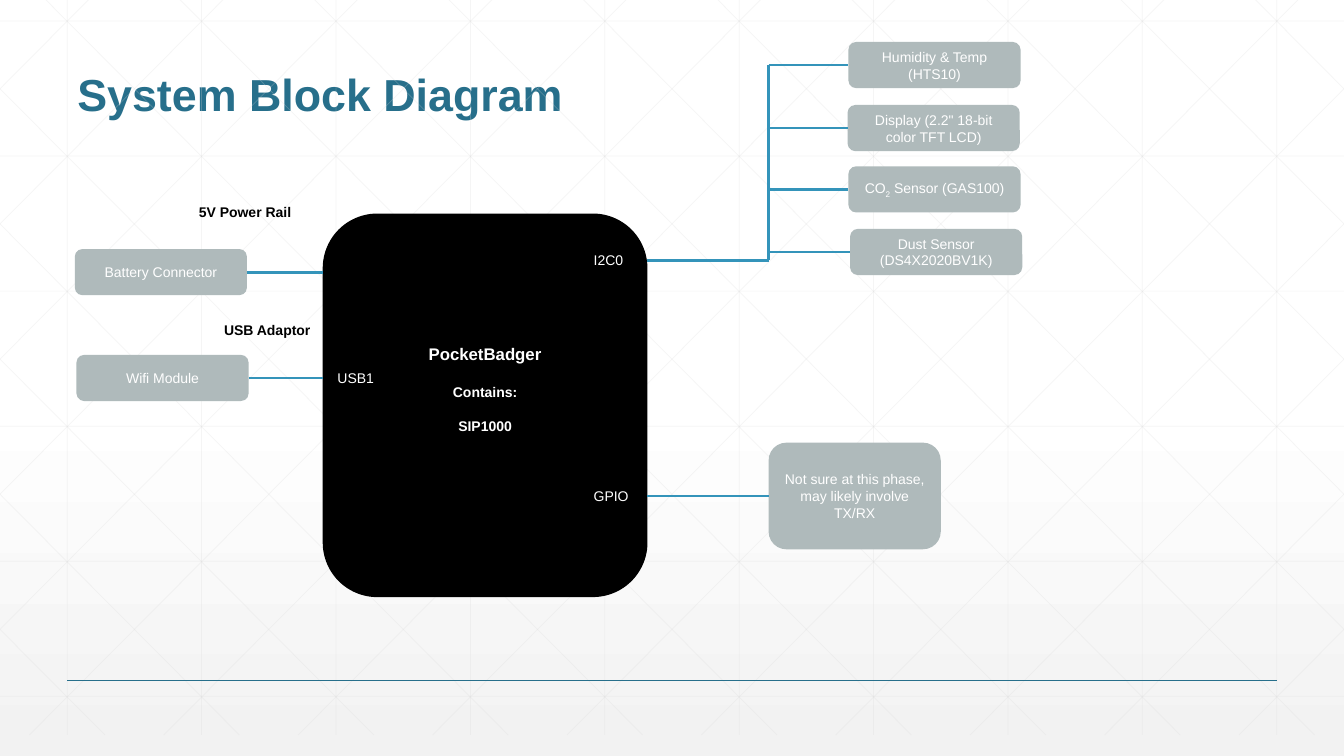
"""Builds the system block diagram slide on a grid of 160 columns by 90 rows."""
from dataclasses import dataclass

from lxml import etree
from pptx import Presentation
from pptx.dml.color import RGBColor
from pptx.enum.shapes import MSO_CONNECTOR, MSO_SHAPE
from pptx.enum.text import MSO_ANCHOR, MSO_AUTO_SIZE, PP_ALIGN
from pptx.oxml.ns import qn
from pptx.util import Inches, Pt

LINE = MSO_CONNECTOR.STRAIGHT
ROUND = MSO_SHAPE.ROUNDED_RECTANGLE
MIDDLE, BOTTOM = MSO_ANCHOR.MIDDLE, MSO_ANCHOR.BOTTOM
LEFT, CENTER = PP_ALIGN.LEFT, PP_ALIGN.CENTER
FIXED = MSO_AUTO_SIZE.NONE
LEFT_SIDE, RIGHT_SIDE = 1, 3

COLS, ROWS = 160, 90
WIDTH, HEIGHT = Inches(13.333), Inches(7.5)
BLOCK = (20.5, 5.5)


@dataclass(frozen=True)
class Theme:
    font: str = "Arial"
    title: str = "276F8B"
    wire: str = "3494BA"
    block: str = "AFBABB"
    dark: str = "000000"
    light: str = "FFFFFF"
    shade: str = "F2F2F2"
    mesh: str = "D9D9D9"
    head: int = 32
    name: int = 12
    text: int = 10


THEME = Theme()


def rgb(code):
    return RGBColor.from_string(code)


def spot(col, row):
    return round(WIDTH * col / COLS), round(HEIGHT * row / ROWS)


def style(font, color, size=THEME.text, bold=False):
    font.name, font.size, font.bold = THEME.font, Pt(size), bold
    font.color.rgb = rgb(color)


def add_line(shapes, start, end, color=THEME.wire, width=2, alpha=None):
    line = shapes.add_connector(LINE, *spot(*start), *spot(*end))
    line.line.color.rgb = rgb(color)
    line.line.width = Pt(width)
    props = line._element.spPr
    etree.SubElement(props, qn("a:effectLst"))
    if alpha:
        tint = props.find(".//" + qn("a:srgbClr"))
        etree.SubElement(tint, qn("a:alpha")).set("val", str(alpha * 1000))
    return line


def add_box(shapes, at, size, fill):
    box = shapes.add_shape(ROUND, *spot(*at), *spot(*size))
    box.shadow.inherit = False
    box.fill.solid()
    box.fill.fore_color.rgb = rgb(fill)
    box.line.fill.background()
    box.text_frame.word_wrap = True
    box.text_frame.vertical_anchor = MIDDLE
    return box


def add_block(shapes, at, text, size=BLOCK):
    """Add a grey block; a piece of text between underscores is a subscript."""
    box = add_box(shapes, at, size, THEME.block)
    para = box.text_frame.paragraphs[0]
    para.alignment = CENTER
    for index, piece in enumerate(text.split("_")):
        run = para.add_run()
        run.text = piece
        style(run.font, THEME.light)
        if index % 2:
            run._r.get_or_add_rPr().set("baseline", "-25000")
    return box


def add_label(shapes, at, text, width, color=THEME.light, bold=False):
    box = shapes.add_textbox(*spot(*at), *spot(width, 3.2))
    box.text_frame.word_wrap = True
    box.text_frame.text = text
    style(box.text_frame.paragraphs[0].runs[0].font, color, bold=bold)


def add_board(shapes):
    board = add_box(shapes, (38.5, 25.5), (38.5, 45.5), THEME.dark)
    board.line.color.rgb = rgb(THEME.dark)
    board.line.width = Pt(1)
    frame = board.text_frame
    frame.margin_bottom = Inches(0.37)
    frame.text = "PocketBadger\nContains:\nSIP1000"
    sizes = THEME.name, THEME.text, THEME.text
    for para, size, gap in zip(frame.paragraphs, sizes, (0, 14, 12)):
        para.alignment = CENTER
        para.space_before = Pt(gap)
        style(para.runs[0].font, THEME.light, size, True)


def add_mesh(slide):
    fill = slide.background.fill
    fill.gradient()
    fill.gradient_angle = 270
    stops = (0.53, THEME.light), (1, THEME.shade)
    for stop, (place, color) in zip(fill.gradient_stops, stops):
        stop.position = place
        stop.color.rgb = rgb(color)

    top, low, step, run = -2.5, 87.5, 16, 89.5
    lines = [((8 + step * i, top), (8 + step * i, low)) for i in range(10)]
    lines += [((0, 2.5 + 16.08 * i), (COLS, 2.5 + 16.08 * i)) for i in range(6)]
    for i in range(-5, 10):
        col = 3 + step * i
        first, last = max(col, 0), min(col + run, COLS)
        rows = [top + (x - col) * (low - top) / run for x in (first, last)]
        lines.append(((first, rows[0]), (last, rows[1])))
        lines.append(((COLS - first, rows[0]), (COLS - last, rows[1])))

    group = slide.shapes.add_group_shape()
    for start, end in lines:
        add_line(group.shapes, start, end, THEME.mesh, 0.5, 25)
    add_line(slide.shapes, (8, 81), (152, 81), THEME.title, 1)


def set_title(slide, text):
    title = slide.shapes.title
    title.left, title.top = spot(8, 3)
    title.width, title.height = spot(144, 12)
    frame = title.text_frame
    frame.text = text
    frame.auto_size = FIXED
    frame.vertical_anchor = BOTTOM
    para = frame.paragraphs[0]
    para.alignment, para.line_spacing = LEFT, 0.9
    style(para.runs[0].font, THEME.title, THEME.head, True)


def add_inputs(shapes):
    inputs = (
        (8.9, 29.65, "Battery Connector", (22.5, 23.6), "5V Power Rail"),
        (9.1, 42.25, "Wifi Module", (25.5, 37.7), "USB Adaptor"),
    )
    for col, row, name, at, note in inputs:
        block = add_block(shapes, (col, row), name)
        mid = row + BLOCK[1] / 2
        wire = add_line(shapes, (col + BLOCK[0], mid), (38.5, mid))
        wire.begin_connect(block, RIGHT_SIDE)
        add_label(shapes, at, note, 26, THEME.dark, True)


def add_sensors(shapes):
    sensors = (
        (101, 5, "Humidity & Temp (HTS10)"),
        (100.9, 12.5, 'Display (2.2" 18-bit color TFT LCD)'),
        (101, 19.8, "CO_2_ Sensor (GAS100)"),
        (101.2, 27.25, "Dust Sensor (DS4X2020BV1K)"),
    )
    add_line(shapes, (77, 31), (91.5, 31))
    add_line(shapes, (91.5, 31), (91.5, 7.75))
    for col, row, name in sensors:
        block = add_block(shapes, (col, row), name)
        mid = row + BLOCK[1] / 2
        add_line(shapes, (91.5, mid), (col, mid)).end_connect(block, LEFT_SIDE)


def main():
    deck = Presentation()
    deck.slide_width, deck.slide_height = WIDTH, HEIGHT
    slide = deck.slides.add_slide(deck.slide_layouts[5])
    shapes = slide.shapes
    add_mesh(slide)
    set_title(slide, "System Block Diagram")
    add_board(shapes)
    add_inputs(shapes)
    add_sensors(shapes)
    phase = add_block(shapes, (91.5, 52.7),
                      "Not sure at this phase, may likely involve TX/RX", (20.5, 12.7))
    add_line(shapes, (77, 59.05), (91.5, 59.05)).end_connect(phase, LEFT_SIDE)
    ports = ((69.5, 29.4, "I2C0"), (39, 43.4, "USB1"), (69.5, 57.4, "GPIO"))
    for col, row, port in ports:
        add_label(shapes, (col, row), port, 10.5)
    deck.save("out.pptx")


if __name__ == "__main__":
    main()
